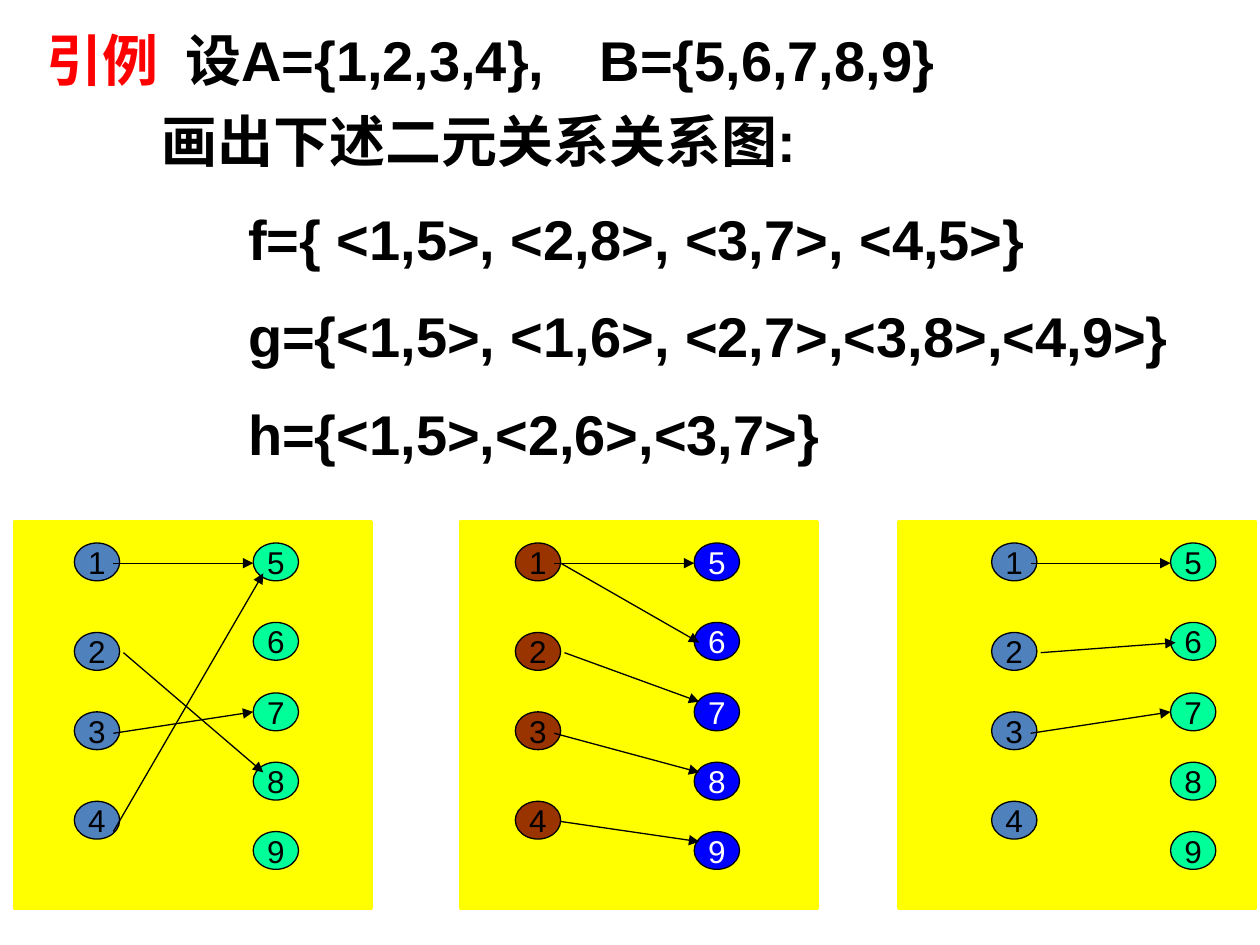
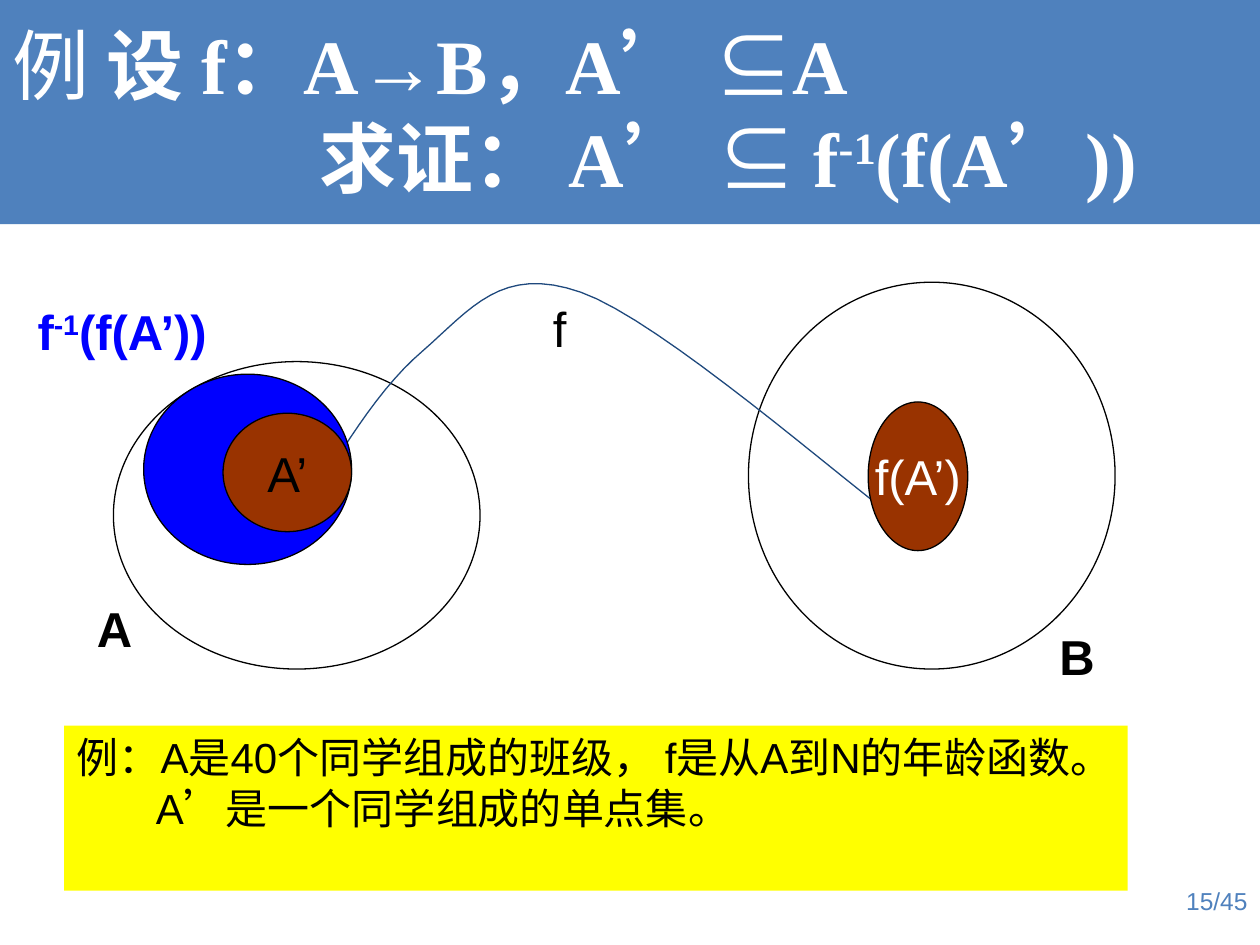
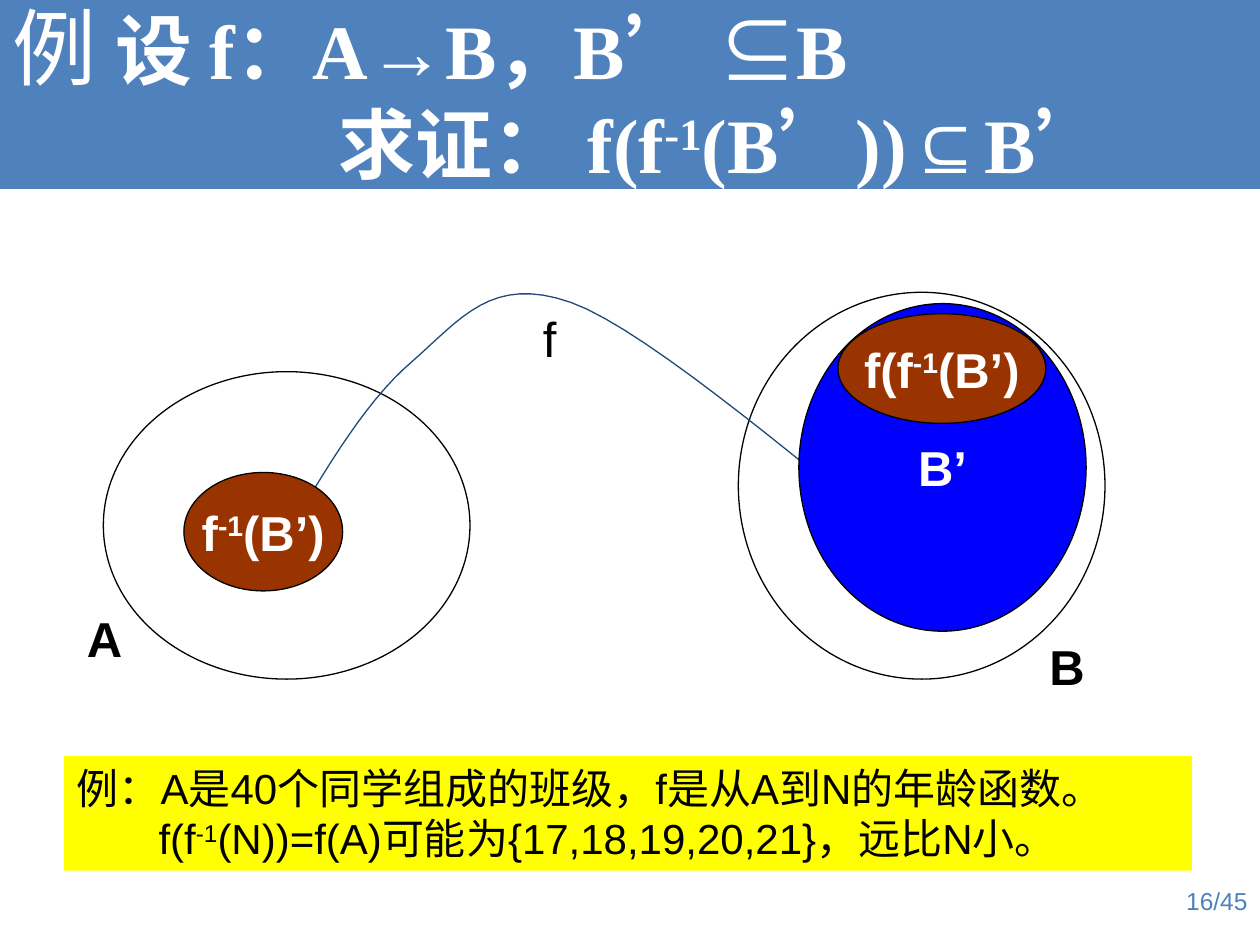
from typing import NamedTuple, Optional

from lxml.etree import SubElement
from pptx import Presentation
from pptx.dml.color import RGBColor
from pptx.enum.shapes import MSO_CONNECTOR, MSO_SHAPE
from pptx.enum.text import MSO_ANCHOR, PP_ALIGN
from pptx.oxml.ns import qn
from pptx.util import Inches, Pt

BLACK = RGBColor(0x00, 0x00, 0x00)
WHITE = RGBColor(0xFF, 0xFF, 0xFF)
RED = RGBColor(0xFF, 0x00, 0x00)
YELLOW = RGBColor(0xFF, 0xFF, 0x00)
STEEL = RGBColor(0x4F, 0x81, 0xBD)
NAVY = RGBColor(0x1F, 0x49, 0x7D)
MINT = RGBColor(0x00, 0xFF, 0x99)
BROWN = RGBColor(0x99, 0x33, 0x00)
BLUE = RGBColor(0x00, 0x00, 0xFF)

SANS, SERIF = "Arial", "Times New Roman"
NODE_W, NODE_H = 0.36, 0.3
COLUMN_GAP = 1.42
DOMAIN_TOPS = {"1": 4.31, "2": 5.02, "3": 5.65, "4": 6.36}
RANGE_TOPS = {"5": 4.31, "6": 4.94, "7": 5.5, "8": 6.05, "9": 6.6}


class Box(NamedTuple):
    left: float
    top: float
    width: float
    height: float

    def moved(self, dx: float, dy: float) -> "Box":
        return Box(self.left + dx, self.top + dy, self.width, self.height)


class Span(NamedTuple):
    text: str
    bold: Optional[bool] = None
    color: Optional[RGBColor] = None
    size: Optional[float] = None
    raised: bool = False


class Para(NamedTuple):
    spans: tuple[Span, ...]
    indent: float = 0
    before: float = 0
    tabs: tuple[float, ...] = ()


class Style(NamedTuple):
    size: float
    color: RGBColor = BLACK
    bold: bool = False
    name: str = SANS
    align: PP_ALIGN = PP_ALIGN.LEFT
    anchor: MSO_ANCHOR = MSO_ANCHOR.TOP
    wrap: bool = True
    spacing: float = 1.0


class Relation(NamedTuple):
    """Arrows run (x1, y1, x2, y2), with x measured from the domain column."""
    panel_left: float
    domain_left: float
    domain_fill: RGBColor
    range_fill: RGBColor
    range_text: RGBColor
    arrows: tuple[tuple[float, float, float, float], ...]


class Oval(NamedTuple):
    box: Box
    fill: RGBColor
    spans: tuple[Span, ...] = ()
    color: RGBColor = WHITE
    bold: bool = True


class Proof(NamedTuple):
    title_height: float
    title: tuple[Para, ...]
    shift: tuple[float, float]
    ovals: tuple[Oval, ...]
    note_box: Box
    note: tuple[Para, ...]
    page: str


INVERSE = (Span("f"), Span("-1", raised=True))
ARROW, SUBSET = Span("→", bold=False), Span("⊆", bold=False)

RELATIONS = (
    Relation(0.12, 0.59, STEEL, MINT, BLACK, (
        (0.31, 4.47, 1.42, 4.47), (0.39, 5.18, 1.5, 6.13),
        (0.31, 5.82, 1.42, 5.65), (0.31, 6.6, 1.5, 4.55))),
    Relation(3.66, 4.09, BROWN, BLUE, WHITE, (
        (0.31, 4.47, 1.42, 4.47), (0.39, 5.18, 1.46, 5.57),
        (0.31, 5.82, 1.46, 6.13), (0.36, 6.52, 1.46, 6.68),
        (0.36, 4.47, 1.46, 5.1))),
    Relation(7.13, 7.87, STEEL, MINT, BLACK, (
        (0.31, 4.47, 1.42, 4.47), (0.39, 5.18, 1.46, 5.1),
        (0.31, 5.82, 1.42, 5.65))),
)

DEFINITIONS = (
    "f={ <1,5>, <2,8>, <3,7>, <4,5>}",
    "g={<1,5>, <1,6>, <2,7>,<3,8>,<4,9>}",
    "h={<1,5>,<2,6>,<3,7>}",
)

PREIMAGE_PROOF = Proof(
    title_height=1.81,
    title=(
        Para((Span("例 ", bold=False), Span("设 f：A"), ARROW, Span("B，A’ "), SUBSET, Span("A"))),
        Para((Span("求证： A’ "), Span("⊆ ", bold=False), *INVERSE, Span("(f(A’))")), indent=2.44),
    ),
    shift=(0, 0),
    ovals=(
        Oval(Box(1.14, 2.97, 1.65, 1.51), BLUE),
        Oval(Box(6.89, 3.19, 0.79, 1.18), BROWN, (Span("f(A’)"),), bold=False),
        Oval(Box(1.77, 3.28, 1.02, 0.94), BROWN, (Span("A’"),), BLACK, False),
    ),
    note_box=Box(0.51, 5.76, 8.44, 1.31),
    note=(
        Para((Span("例：A是40个同学组成的班级， f是从A到N的年龄函数。"),)),
        Para((Span("A’是一个同学组成的单点集。"),), indent=0.63),
    ),
    page="15/45",
)

IMAGE_PROOF = Proof(
    title_height=1.53,
    title=(
        Para((Span("例 ", bold=False, size=48), Span("设 f：A"), ARROW, Span("B，B’ "), SUBSET,
              Span("B"))),
        Para((Span("求证： f("), *INVERSE, Span("(B’))"), SUBSET, Span("B’")), indent=2.59),
    ),
    shift=(-0.08, 0.08),
    ovals=(
        Oval(Box(6.34, 2.41, 2.28, 2.6), BLUE, (Span("B’"),)),
        Oval(Box(6.65, 2.49, 1.65, 0.87), BROWN, (Span("f("), *INVERSE, Span("(B’)"))),
        Oval(Box(1.46, 3.75, 1.26, 0.94), BROWN, (*INVERSE, Span("(B’)"))),
    ),
    note_box=Box(0.51, 6, 8.95, 0.91),
    note=(
        Para((Span("例：A是40个同学组成的班级，f是从A到N的年龄函数。"),)),
        Para((Span("f("), *INVERSE, Span("(N))=f(A)可能为{17,18,19,20,21}，远比N小。")),
             indent=0.65),
    ),
    page="16/45",
)

# Each Bezier piece starts where the one before it ends.
MAP_START = (2.24, 4.37)
MAP_CURVES = (
    ((2.6, 3.75), (2.95, 3.13), (3.35, 2.79)),
    ((3.74, 2.45), (3.98, 2.1), (4.61, 2.32)),
    ((5.24, 2.54), (6.71, 3.83), (7.13, 4.13)),
)
CURVE_STEPS = 16


def write(sp, paras: tuple[Para, ...], style: Style) -> None:
    tf = sp.text_frame
    tf.word_wrap = style.wrap
    tf.vertical_anchor = style.anchor
    for i, para in enumerate(paras):
        p = tf.add_paragraph() if i else tf.paragraphs[0]
        p.alignment = style.align
        p.line_spacing = style.spacing
        if para.before:
            p.space_before = Pt(para.before)
        pPr = p._p.get_or_add_pPr()
        if para.indent:
            pPr.set("marL", str(Inches(para.indent)))
        if para.tabs:
            # LibreOffice drops tab stops when a first-line indent is set too.
            tab_list = SubElement(pPr, qn("a:tabLst"))
            for pos in para.tabs:
                SubElement(tab_list, qn("a:tab"), pos=str(Inches(pos)), algn="l")
        for span in para.spans:
            r = p.add_run()
            r.text = span.text
            formats = {
                "name": style.name,
                "size": Pt(span.size or style.size),
                "bold": style.bold if span.bold is None else span.bold,
            }
            for key, value in formats.items():
                setattr(r.font, key, value)
            r.font.color.rgb = span.color or style.color
            if span.raised:
                r._r.get_or_add_rPr().set("baseline", "30000")


def add_shape(s, kind: MSO_SHAPE, box: Box, fill: RGBColor,
              line: Optional[RGBColor] = None, weight: float = 0.75):
    sp = s.shapes.add_shape(kind, *map(Inches, box))
    sp.shadow.inherit = False
    sp.fill.solid()
    sp.fill.fore_color.rgb = fill
    if line is None:
        sp.line.fill.background()
    else:
        sp.line.color.rgb = line
        sp.line.width = Pt(weight)
    return sp


def add_oval(s, oval: Oval, size: float = 28) -> None:
    sp = add_shape(s, MSO_SHAPE.OVAL, oval.box, oval.fill, BLACK)
    if oval.spans:
        write(sp, (Para(oval.spans),),
              Style(size, oval.color, oval.bold, align=PP_ALIGN.CENTER,
                    anchor=MSO_ANCHOR.MIDDLE, wrap=False))


def add_text(s, box: Box, paras: tuple[Para, ...], style: Style) -> None:
    write(s.shapes.add_textbox(*map(Inches, box)), paras, style)


def add_arrow(s, x1: float, y1: float, x2: float, y2: float) -> None:
    c = s.shapes.add_connector(MSO_CONNECTOR.STRAIGHT, *map(Inches, (x1, y1, x2, y2)))
    c.line.color.rgb = BLACK
    c.line.width = Pt(0.75)
    SubElement(c.line._get_or_add_ln(), qn("a:tailEnd"), type="triangle")
    SubElement(c._element.spPr, qn("a:effectLst"))


def add_relation(s, rel: Relation) -> None:
    columns = (
        (rel.domain_left, DOMAIN_TOPS, rel.domain_fill, BLACK),
        (rel.domain_left + COLUMN_GAP, RANGE_TOPS, rel.range_fill, rel.range_text),
    )
    for left, tops, fill, color in columns:
        for label, top in tops.items():
            add_oval(s, Oval(Box(left, top, NODE_W, NODE_H), fill, (Span(label),), color, False), 18)
    for x1, y1, x2, y2 in rel.arrows:
        add_arrow(s, rel.domain_left + x1, y1, rel.domain_left + x2, y2)


def curve_points() -> list[tuple[float, float]]:
    """Sample the Bezier pieces of the mapping curve, leaving out its start."""
    points, start = [], MAP_START
    for b, c, end in MAP_CURVES:
        for step in range(1, CURVE_STEPS + 1):
            t = step / CURVE_STEPS
            u = 1 - t
            weights = (u ** 3, 3 * u * u * t, 3 * u * t * t, t ** 3)
            knots = (start, b, c, end)
            points.append(tuple(sum(w * k[axis] for w, k in zip(weights, knots))
                                for axis in (0, 1)))
        start = end
    return points


def add_mapping(s, dx: float, dy: float) -> None:
    """Draw the sets A and B, the curve f between them and their labels."""
    for box in (Box(0.9, 2.87, 2.91, 2.44), Box(5.94, 2.24, 2.91, 3.07)):
        add_oval(s, Oval(box.moved(dx, dy), WHITE))

    def place(x: float, y: float) -> tuple[int, int]:
        return Inches(x + dx), Inches(y + dy)

    builder = s.shapes.build_freeform(*place(*MAP_START))
    builder.add_line_segments([place(*pt) for pt in curve_points()], close=False)
    sp = builder.convert_to_shape()
    sp.shadow.inherit = False
    sp.fill.background()
    sp.line.color.rgb = NAVY
    sp.line.width = Pt(0.75)

    labels = (("A", Box(0.67, 4.7, 0.48, 0.57), True),
              ("B", Box(8.31, 4.92, 0.48, 0.57), True),
              ("f", Box(4.29, 2.32, 0.31, 0.57), False))
    for text, box, bold in labels:
        add_text(s, box.moved(dx, dy), (Para((Span(text),)),), Style(28, bold=bold, wrap=False))


def add_slide(prs):
    return prs.slides.add_slide(prs.slide_layouts[6])


def build_relations(prs) -> None:
    s = add_slide(prs)
    for rel in RELATIONS:
        add_shape(s, MSO_SHAPE.RECTANGLE, Box(rel.panel_left, 4.14, 2.83, 3.07), YELLOW, YELLOW, 2)
    paras = (
        Para((Span("引例\t", color=RED), Span("设A={1,2,3,4},\tB={5,6,7,8,9}")), tabs=(1.1, 4.39)),
        Para((Span("画出下述二元关系关系图:"),), indent=0.91),
        *(Para((Span(text),), indent=1.6, before=9.6) for text in DEFINITIONS),
    )
    add_text(s, Box(0.27, 0.05, 9.45, 3.82), paras, Style(32, bold=True, spacing=1.2))
    for rel in RELATIONS:
        add_relation(s, rel)


def build_proof(prs, proof: Proof):
    s = add_slide(prs)
    add_text(s, Box(7.67, 6.98, 2.33, 0.52), (Para((Span(proof.page),)),),
             Style(14, STEEL, align=PP_ALIGN.RIGHT))
    band = add_shape(s, MSO_SHAPE.RECTANGLE, Box(0, -0.03, 10, proof.title_height), STEEL)
    write(band, proof.title, Style(44, WHITE, True, SERIF, anchor=MSO_ANCHOR.MIDDLE))
    add_mapping(s, *proof.shift)
    for oval in proof.ovals:
        add_oval(s, oval)
    note = add_shape(s, MSO_SHAPE.RECTANGLE, proof.note_box, YELLOW)
    write(note, proof.note, Style(24))
    return s


def main() -> None:
    prs = Presentation()
    prs.slide_width, prs.slide_height = Inches(10), Inches(7.5)
    build_relations(prs)
    s = build_proof(prs, PREIMAGE_PROOF)
    add_text(s, Box(0.2, 2.34, 1.6, 0.57), (Para((*INVERSE, Span("(f(A’))"))),),
             Style(28, BLUE, True, wrap=False))
    build_proof(prs, IMAGE_PROOF)
    prs.save("out.pptx")


if __name__ == "__main__":
    main()
